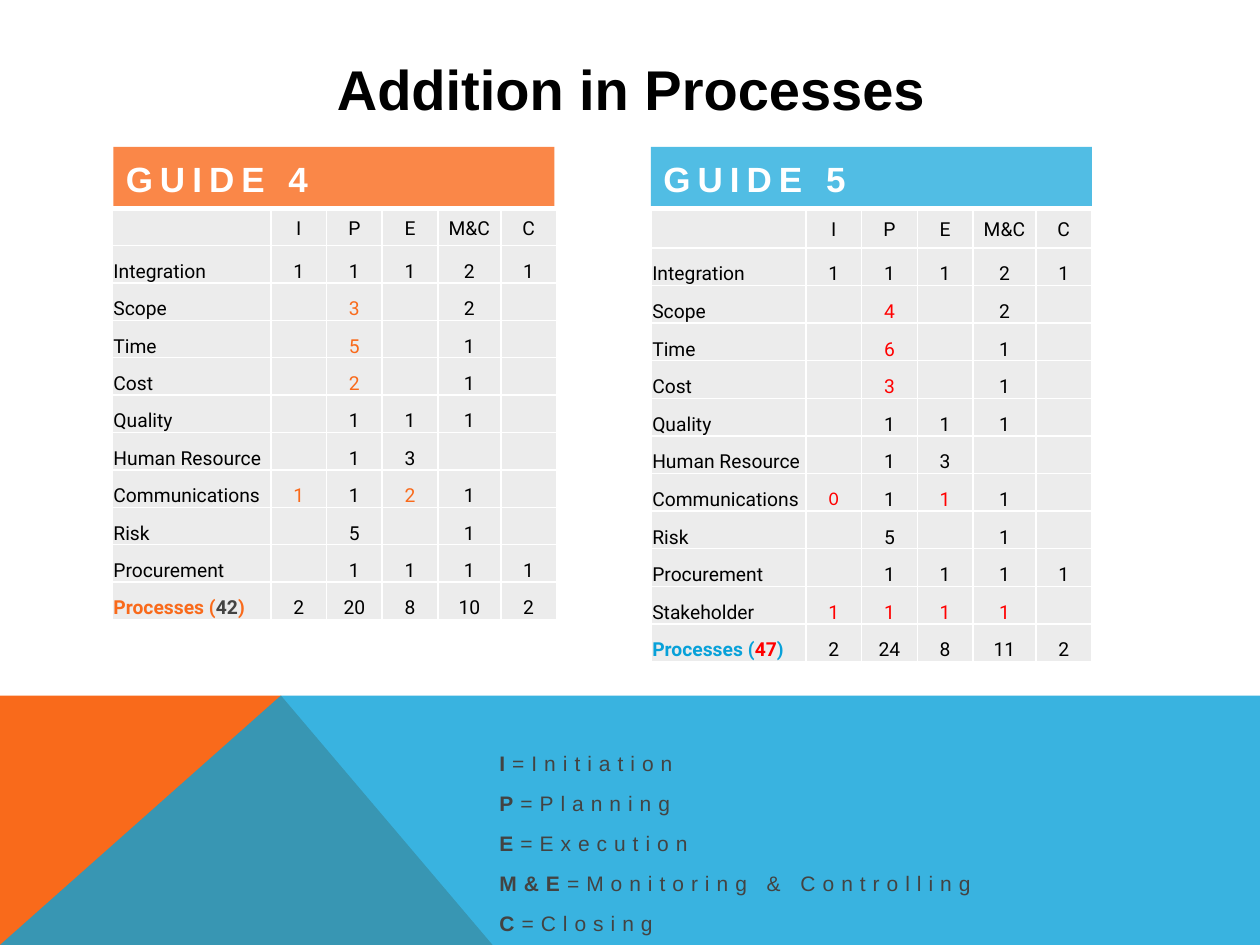
from lxml import etree
from pptx import Presentation
from pptx.dml.color import RGBColor
from pptx.enum.shapes import MSO_SHAPE
from pptx.enum.text import MSO_ANCHOR, PP_ALIGN
from pptx.oxml.ns import qn
from pptx.util import Inches, Pt

RECTANGLE = MSO_SHAPE.RECTANGLE
MIDDLE, BOTTOM = MSO_ANCHOR.MIDDLE, MSO_ANCHOR.BOTTOM
LEFT, CENTER = PP_ALIGN.LEFT, PP_ALIGN.CENTER

BLACK = RGBColor(0x00, 0x00, 0x00)
WHITE = RGBColor(0xFF, 0xFF, 0xFF)
GRAY = RGBColor(0x43, 0x43, 0x42)
CELL_GRAY = RGBColor(0xEC, 0xEC, 0xEC)
ORANGE = RGBColor(0xF9, 0x6A, 0x1B)
BLUE = RGBColor(0x08, 0xA1, 0xD9)
RED = RGBColor(0xFF, 0x00, 0x00)

SLIDE_WIDTH, SLIDE_HEIGHT = Inches(10), Inches(7.5)
BAND_TOP, PEAK, SLOPE_END = 73.6, 22.3, 39.1
HEADER_TOP, HEADER_WIDTH, HEADER_HEIGHT = 15.55, 35, 6.25
TABLE_TOP = 22.25
GROUP_COLUMNS = [4.42, 4.42, 4.42, 5, 4.4]

# A star marks a count that differs between the two editions.
HEADINGS = ["", "I", "P", "E", "M&C", "C"]
EDITION_4 = [
    HEADINGS,
    ["Integration", "1", "1", "1", "2", "1"],
    ["Scope", "", "3*", "", "2", ""],
    ["Time", "", "5*", "", "1", ""],
    ["Cost", "", "2*", "", "1", ""],
    ["Quality", "", "1", "1", "1", ""],
    ["Human Resource", "", "1", "3", "", ""],
    ["Communications", "1*", "1", "2*", "1", ""],
    ["Risk", "", "5", "", "1", ""],
    ["Procurement", "", "1", "1", "1", "1"],
    ["42", "2", "20", "8", "10", "2"],
]
EDITION_5 = [
    HEADINGS,
    ["Integration", "1", "1", "1", "2", "1"],
    ["Scope", "", "4*", "", "2", ""],
    ["Time", "", "6*", "", "1", ""],
    ["Cost", "", "3*", "", "1", ""],
    ["Quality", "", "1", "1", "1", ""],
    ["Human Resource", "", "1", "3", "", ""],
    ["Communications", "0*", "1", "1*", "1", ""],
    ["Risk", "", "5", "", "1", ""],
    ["Procurement", "", "1", "1", "1", "1"],
    ["Stakeholder", "1*", "1*", "1*", "1*", ""],
    ["47", "2", "24", "8", "11", "2"],
]
LEGEND = [
    ("I", "Initiation"),
    ("P", "Planning"),
    ("E", "Execution"),
    ("M&E", "Monitoring & Controlling"),
    ("C", "Closing"),
]


def across(percent):
    return round(SLIDE_WIDTH * percent / 100)


def down(percent):
    return round(SLIDE_HEIGHT * percent / 100)


def box(left, top, width, height):
    """Turn percentages of the slide into a position and a size."""
    return across(left), down(top), across(width), down(height)


def add_run(paragraph, text, size=11, font="Roboto", color=BLACK, bold=False, spacing=0):
    run = paragraph.add_run()
    run.text = text
    run.font.size = Pt(size)
    run.font.name = font
    run.font.color.rgb = color
    run.font.bold = bold
    if spacing:
        run.font._element.set("spc", str(spacing * 100))


def paint(shape, color, opacity=100):
    shape.shadow.inherit = False
    shape.line.fill.background()
    shape.fill.solid()
    shape.fill.fore_color.rgb = color
    if opacity < 100:
        tint = shape.fill._xPr.find(qn("a:solidFill"))[0]
        etree.SubElement(tint, qn("a:alpha"), val=str(opacity * 1000))


def add_band(slide, corners, color, opacity=100):
    points = [(across(x), down(y)) for x, y in corners]
    builder = slide.shapes.build_freeform(*points[0])
    builder.add_line_segments(points[1:], close=True)
    paint(builder.convert_to_shape(), color, opacity)


def add_title(slide, text):
    frame = slide.shapes.add_textbox(*box(9, 5.33, 82.2, 8)).text_frame
    frame.word_wrap = True
    frame.vertical_anchor = MIDDLE
    frame.paragraphs[0].alignment = CENTER
    add_run(frame.paragraphs[0], text, size=32, font="Arial", bold=True)


def add_header(slide, text, left, color, opacity):
    header = slide.shapes.add_shape(
        RECTANGLE, *box(left, HEADER_TOP, HEADER_WIDTH, HEADER_HEIGHT))
    paint(header, color, opacity)
    header.text_frame.vertical_anchor = BOTTOM
    paragraph = header.text_frame.paragraphs[0]
    paragraph.alignment = LEFT
    paragraph.space_before = Pt(8)
    add_run(paragraph, text, size=20, font="Arial", color=WHITE, bold=True, spacing=4)


def format_cell(cell, anchor):
    cell.margin_left = cell.margin_right = cell.margin_top = Inches(0.01)
    cell.margin_bottom = 0
    cell.vertical_anchor = anchor
    properties = cell._tc.get_or_add_tcPr()
    for side in ("a:lnL", "a:lnR", "a:lnT", "a:lnB"):
        border = etree.SubElement(properties, qn(side), w=str(Pt(1)))
        fill = etree.SubElement(border, qn("a:solidFill"))
        etree.SubElement(fill, qn("a:srgbClr"), val=str(WHITE))
    cell.fill.solid()
    cell.fill.fore_color.rgb = CELL_GRAY


def write_count(paragraph, entry, changed_color):
    paragraph.alignment = CENTER
    count = entry.rstrip("*")
    if not count:
        paragraph._p.get_or_add_endParaRPr().set("sz", "1100")
        return
    add_run(paragraph, count,
            font="Calibri" if count == "0" else "Roboto",
            color=changed_color if entry.endswith("*") else BLACK)


def write_total_label(paragraph, total, label_color, total_color):
    for text, color in (("Processes (", label_color), (total, total_color), (")", label_color)):
        add_run(paragraph, text, color=color, bold=True)


def add_process_table(slide, entries, left, columns, rows, label_color, changed_color, total_color):
    table = slide.shapes.add_table(
        len(rows), len(columns), *box(left, TABLE_TOP, sum(columns), sum(rows))).table
    table.first_row = table.horz_banding = False
    for column, width in zip(table.columns, columns):
        column.width = across(width)
    for row, height in zip(table.rows, rows):
        row.height = down(height)
    for r, row_entries in enumerate(entries):
        for c, entry in enumerate(row_entries):
            cell = table.cell(r, c)
            format_cell(cell, BOTTOM if r else MIDDLE)
            paragraph = cell.text_frame.paragraphs[0]
            if c or not entry:
                write_count(paragraph, entry, changed_color)
            elif r == len(entries) - 1:
                write_total_label(paragraph, entry, label_color, total_color)
            else:
                add_run(paragraph, entry)


def add_legend(slide):
    frame = slide.shapes.add_textbox(*box(38.65, 78.93, 40.8, 20.8)).text_frame
    frame.word_wrap = True
    frame.vertical_anchor = BOTTOM
    for i, (letter, meaning) in enumerate(LEGEND):
        paragraph = frame.add_paragraph() if i else frame.paragraphs[0]
        paragraph.space_before = Pt(8.5)
        for text, bold in ((letter, True), ("=" + meaning, False)):
            add_run(paragraph, text, size=12, font="Arial", color=GRAY, bold=bold, spacing=4)


def main():
    presentation = Presentation()
    presentation.slide_width, presentation.slide_height = SLIDE_WIDTH, SLIDE_HEIGHT
    slide = presentation.slides.add_slide(presentation.slide_layouts[6])
    add_band(slide, [(0, 100), (0, BAND_TOP), (PEAK, BAND_TOP), (SLOPE_END, 100)], ORANGE)
    add_band(slide, [(0, 100), (PEAK, BAND_TOP), (100, BAND_TOP), (100, 100)], BLUE, 80)
    add_title(slide, "Addition in Processes")
    add_header(slide, "GUIDE 4", 9, ORANGE, 80)
    add_process_table(slide, EDITION_4, 8.9, [12.6] + GROUP_COLUMNS, [3.73] + [3.96] * 10,
                      label_color=ORANGE, changed_color=ORANGE, total_color=GRAY)
    add_header(slide, "GUIDE 5", 51.67, BLUE, 70)
    add_process_table(slide, EDITION_5, 51.67, [12.3] + GROUP_COLUMNS, [3.98] * 12,
                      label_color=BLUE, changed_color=RED, total_color=RED)
    add_legend(slide)
    presentation.save("out.pptx")


if __name__ == "__main__":
    main()
